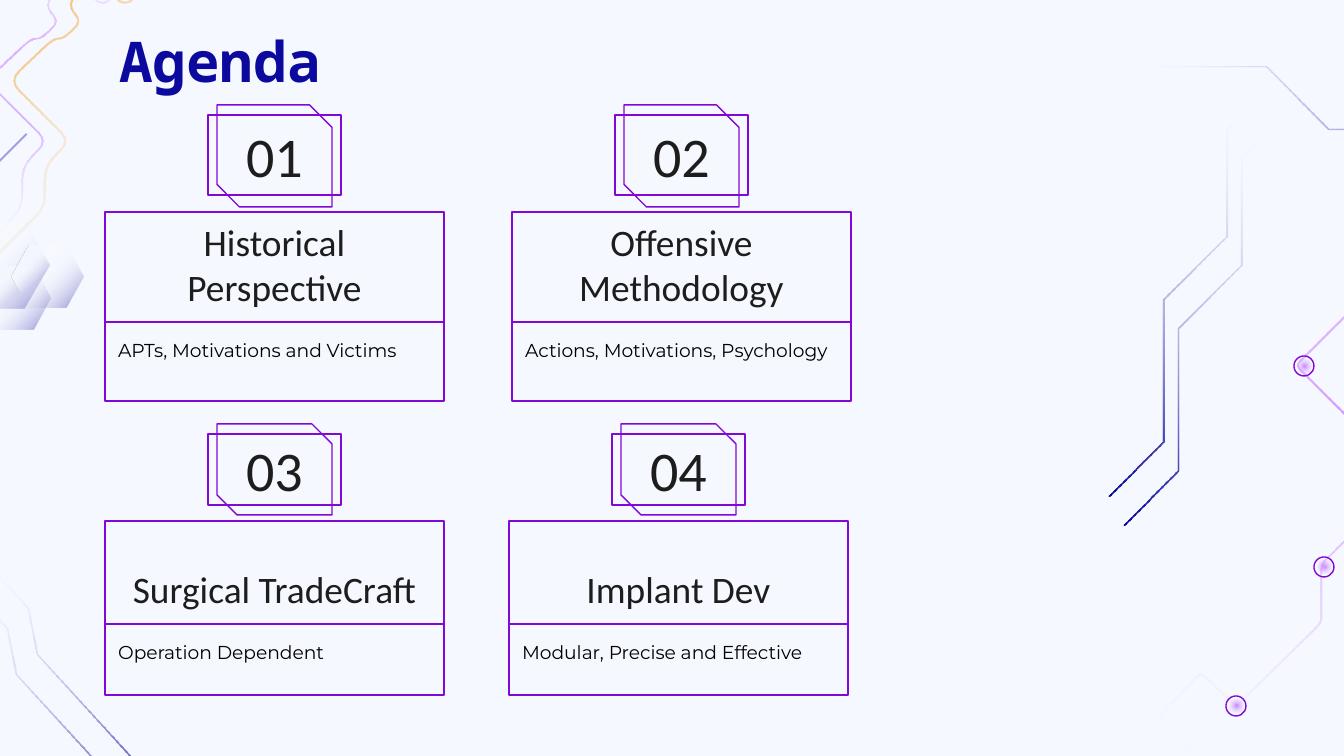
from dataclasses import dataclass
from math import hypot

from lxml.etree import SubElement
from pptx import Presentation
from pptx.dml.color import RGBColor
from pptx.enum.shapes import MSO_SHAPE as Preset
from pptx.enum.text import MSO_ANCHOR as Anchor, PP_ALIGN as Align
from pptx.oxml.ns import qn
from pptx.util import Emu, Pt

EMU_PER_PX = 914400 / 134.4
NAVY, PURPLE, VIOLET, INK = "0C0A9E", "8208D5", "9900FF", "1D1D1D"
BACKGROUND = "F5F8FF"
CLEAR = (100, "FFFFFF", 0)
Point = tuple[float, float]
Stop = tuple[int, str, int]


@dataclass(frozen=True)
class Gradient:
    """Stops of position, colour and opacity; no angle means radial."""
    stops: tuple[Stop, ...]
    angle: int | None = None


@dataclass(frozen=True)
class Trace:
    """A circuit line of the background."""
    points: tuple[Point, ...]
    gradient: Gradient
    radius: int = 0


@dataclass(frozen=True)
class Row:
    """Vertical layout shared by the cards of one row."""
    snip_top: int
    snip_height: int
    number_top: int
    number_height: int
    title_top: int
    title_height: int
    body_height: int


@dataclass(frozen=True)
class Card:
    """One agenda item."""
    left: int
    row: Row
    number: str
    title: str
    body: str


@dataclass(frozen=True)
class Style:
    """Text formatting of a box."""
    font: str
    size: int
    color: str
    align: Align = Align.LEFT
    anchor: Anchor = Anchor.TOP
    bold: bool = False
    line_spacing: float = 1.0


def px(length: float) -> Emu:
    """Turn pixels into EMU."""
    return Emu(round(length * EMU_PER_PX))


def rgb(color: str) -> RGBColor:
    """Turn a hex string into a colour."""
    return RGBColor.from_string(color)


def shifted(points: tuple[Point, ...], dx: int, dy: int) -> tuple[Point, ...]:
    """Move points by an offset."""
    return tuple((x + dx, y + dy) for x, y in points)


def rounded(points: tuple[Point, ...], radius: int) -> list[Point]:
    """Replace inner corners by short curves."""
    result = [points[0]]
    for before, corner, after in zip(points, points[1:], points[2:]):
        ends = []
        for x, y in (before, after):
            dx, dy = x - corner[0], y - corner[1]
            share = min(0.45, radius / hypot(dx, dy))
            ends.append((corner[0] + dx * share, corner[1] + dy * share))
        for t in (0, 0.25, 0.5, 0.75, 1):
            weights = ((1 - t) ** 2, 2 * t * (1 - t), t ** 2)
            curve = (ends[0], corner, ends[1])
            result.append(tuple(sum(w * p[axis] for w, p in zip(weights, curve)) for axis in (0, 1)))
    return result + [points[-1]]


def ribbon(points: list[Point], width: float = 2) -> list[Point]:
    """Outline a polyline as a thin band."""
    normals = []
    for (x1, y1), (x2, y2) in zip(points, points[1:]):
        length = hypot(x2 - x1, y2 - y1)
        normals.append(((y1 - y2) / length, (x2 - x1) / length))
    pairs = zip(points, [normals[0]] + normals, normals + [normals[-1]])
    edge = [(x + (a[0] + b[0]) * width / 2, y + (a[1] + b[1]) * width / 2) for (x, y), a, b in pairs]
    return list(points) + edge[::-1]


def fill_gradient(shape, gradient: Gradient) -> None:
    """Fill a shape with a gradient that has transparency."""
    shape.fill.gradient()
    element = shape._element.spPr.find(qn("a:gradFill"))
    for child in list(element):
        element.remove(child)
    stop_list = SubElement(element, qn("a:gsLst"))
    for position, color, opacity in gradient.stops:
        stop = SubElement(stop_list, qn("a:gs"), pos=str(position * 1000))
        value = SubElement(stop, qn("a:srgbClr"), val=color)
        SubElement(value, qn("a:alpha"), val=str(opacity * 1000))
    if gradient.angle is None:
        radial = SubElement(element, qn("a:path"), path="circle")
        SubElement(radial, qn("a:fillToRect"), dict.fromkeys("ltrb", "50000"))
    else:
        SubElement(element, qn("a:lin"), ang=str(gradient.angle * 60000), scaled="0")


def draw_outline(slide, points: list[Point], gradient: Gradient) -> None:
    """Draw a closed shape with a gradient and no line."""
    corners = [(px(x), px(y)) for x, y in points]
    builder = slide.shapes.build_freeform(*corners[0])
    builder.add_line_segments(corners[1:], close=True)
    shape = builder.convert_to_shape()
    shape.shadow.inherit = False
    shape.line.fill.background()
    fill_gradient(shape, gradient)


def draw_trace(slide, trace: Trace) -> None:
    """Draw one circuit line."""
    points = rounded(trace.points, trace.radius) if trace.radius else list(trace.points)
    draw_outline(slide, ribbon(points), trace.gradient)


def draw_hexagon(slide, left: int, top: int, width: int, height: int) -> None:
    """Draw a fading hexagon."""
    side, right, middle, bottom = width // 4, left + width, top + height / 2, top + height
    points = [(left, middle), (left + side, top), (right - side, top),
              (right, middle), (right - side, bottom), (left + side, bottom)]
    stops = ((0, BACKGROUND, 100), (22, BACKGROUND, 100), (45, "FFFFFF", 0), (100, NAVY, 50))
    draw_outline(slide, points, Gradient(stops, 45))


def draw_preset(slide, preset: Preset, left: int, top: int, width: int, height: int):
    """Draw an unfilled shape with a purple line."""
    shape = slide.shapes.add_shape(preset, px(left), px(top), px(width), px(height))
    shape.shadow.inherit = False
    shape.fill.background()
    shape.line.color.rgb = rgb(PURPLE)
    shape.line.width = Pt(0.75)
    return shape


def draw_node(slide, x: int, y: int) -> None:
    """Draw a ringed node centred on a point."""
    draw_preset(slide, Preset.OVAL, x - 10, y - 10, 20, 20)
    core = draw_preset(slide, Preset.OVAL, x - 7, y - 7, 14, 14)
    core.line.fill.background()
    fill_gradient(core, GLOW)


def write(shape, text: str, style: Style) -> None:
    """Put formatted text into a shape."""
    frame = shape.text_frame
    frame.text = text
    frame.word_wrap = True
    frame.vertical_anchor = style.anchor
    frame.margin_left = frame.margin_right = frame.margin_top = frame.margin_bottom = Emu(91440)
    paragraph = frame.paragraphs[0]
    paragraph.alignment = style.align
    paragraph.line_spacing = style.line_spacing
    font = paragraph.runs[0].font
    font.name, font.size, font.bold = style.font, Pt(style.size), style.bold
    font.color.rgb = rgb(style.color)


def draw_card(slide, card: Card) -> None:
    """Draw an agenda item with its number, title and body."""
    row, left = card.row, card.left
    snip = draw_preset(slide, Preset.SNIP_2_DIAG_RECTANGLE, left + 112, row.snip_top, 115, row.snip_height)
    snip.adjustments[0], snip.adjustments[1] = 0, 0.22
    body_top = row.title_top + row.title_height
    for text, style, box in (
        (card.number, NUMBER, (left + 103, row.number_top, 133, row.number_height)),
        (card.title, TITLE, (left, row.title_top, 339, row.title_height)),
        (card.body, BODY, (left, body_top, 339, row.body_height)),
    ):
        write(draw_preset(slide, Preset.RECTANGLE, *box), text, style)


GLOW = Gradient(((0, VIOLET, 47), CLEAR))
NAVY_STOPS = ((0, NAVY, 100), CLEAR)
HEADING = Style("Noto Sans Mono", 30, NAVY, bold=True)
NUMBER = Style("Calibri", 30, INK, Align.CENTER, Anchor.MIDDLE)
TITLE = Style("Calibri", 20, INK, Align.CENTER, Anchor.BOTTOM)
BODY = Style("Montserrat", 10, "000000", line_spacing=1.15)
RAIL = ((1124, 524), (1178, 470), (1178, 328), (1241, 265), (1241, 159), (1274, 126), (1331, 126), (1331, 109))
TOP_RAIL = ((1525, 183), (1470, 129), (1328, 129), (1266, 67), (1160, 67), (1127, 33), (1127, -25), (1109, -25))
CORNER = ((159, 840), (147, 776), (37, 655), (28, 609), (-21, 555))
WAVE = ((78, -84), (147, -14), (125, 9), (93, -22), (68, 5), (83, 22), (64, 40), (54, 40),
        (11, 81), (71, 141), (46, 167), (46, 208), (0, 254))
CIRCUIT = ((1623, 40), (1538, 125), (1584, 172), (1438, 318), (1391, 271), (1297, 365), (1409, 477), (1322, 564),
           (1322, 622), (1236, 707), (1201, 673), (1161, 715), (1194, 750), (1178, 767), (1193, 786))
TRACES = (
    Trace(RAIL, Gradient(NAVY_STOPS, 270)),
    Trace(shifted(RAIL, -15, -29), Gradient(NAVY_STOPS, 270)),
    Trace(TOP_RAIL, Gradient(NAVY_STOPS, 180)),
    Trace(CIRCUIT, GLOW, 5),
    Trace(CORNER, Gradient(NAVY_STOPS, 228)),
    Trace(shifted(CORNER, -21, 20), Gradient(NAVY_STOPS, 228)),
    Trace(WAVE, Gradient(((0, "EB9109", 100), (40, "FF9900", 41), CLEAR), 45), 13),
    Trace(shifted(WAVE, -23, 0), GLOW, 13),
    Trace(((-14, 173), (26, 133)), Gradient(((0, NAVY, 37), (100, NAVY, 37)), 45)),
)
NODES = ((1236, 706), (1324, 567), (1304, 366))
HEXAGONS = ((-51, 222, 100, 86), (-20, 267, 71, 62), (12, 246, 71, 62))
UPPER = Row(105, 102, 115, 80, 212, 110, 79)
LOWER = Row(424, 91, 434, 71, 521, 103, 71)
CARDS = (
    Card(105, UPPER, "01", "Historical Perspective", "APTs, Motivations and Victims"),
    Card(512, UPPER, "02", "Offensive Methodology", "Actions, Motivations, Psychology"),
    Card(105, LOWER, "03", "Surgical TradeCraft", "Operation Dependent"),
    Card(509, LOWER, "04", "Implant Dev", "Modular, Precise and Effective"),
)


def main() -> None:
    """Build the agenda slide."""
    presentation = Presentation()
    presentation.slide_width, presentation.slide_height = px(1344), px(756)
    slide = presentation.slides.add_slide(presentation.slide_layouts[6])
    slide.background.fill.solid()
    slide.background.fill.fore_color.rgb = rgb(BACKGROUND)
    for trace in TRACES:
        draw_trace(slide, trace)
    for node in NODES:
        draw_node(slide, *node)
    for hexagon in HEXAGONS:
        draw_hexagon(slide, *hexagon)
    write(slide.shapes.add_textbox(px(106), px(13), px(1133), px(85)), "Agenda", HEADING)
    for card in CARDS:
        draw_card(slide, card)
    presentation.save("out.pptx")


if __name__ == "__main__":
    main()
